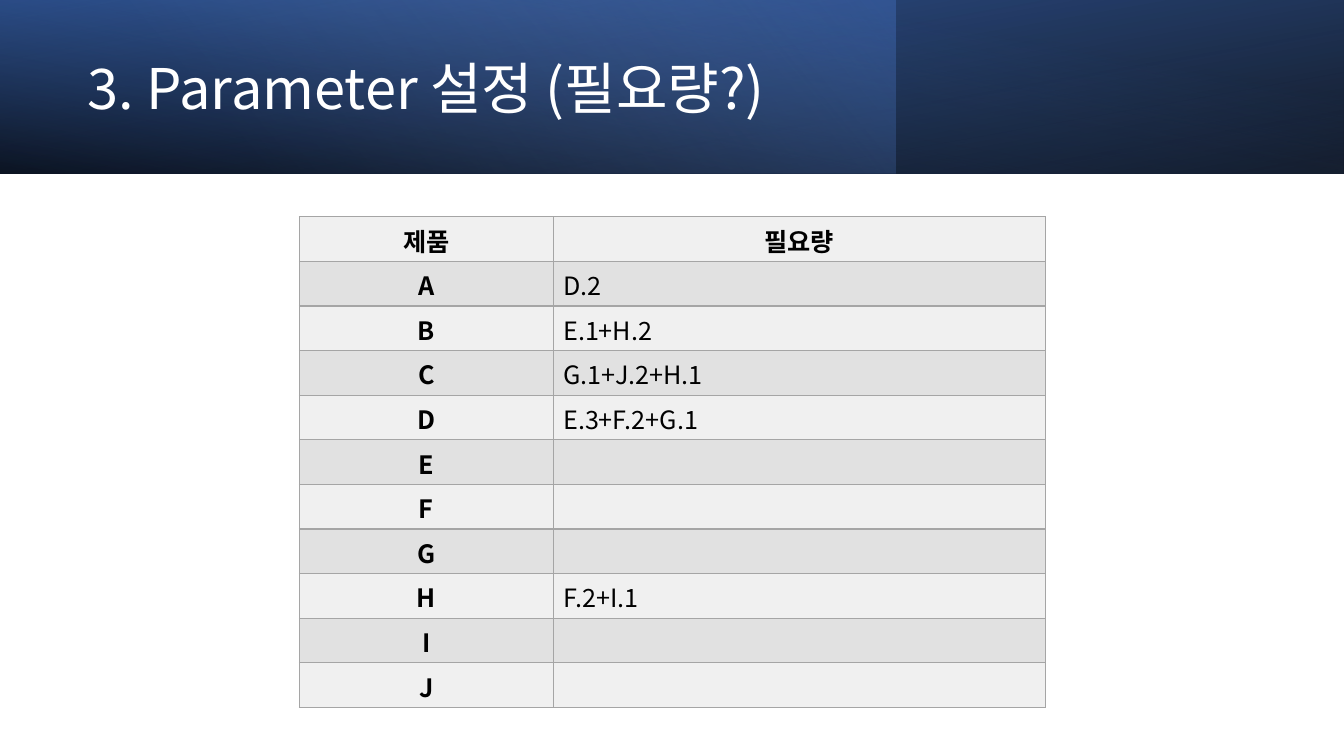
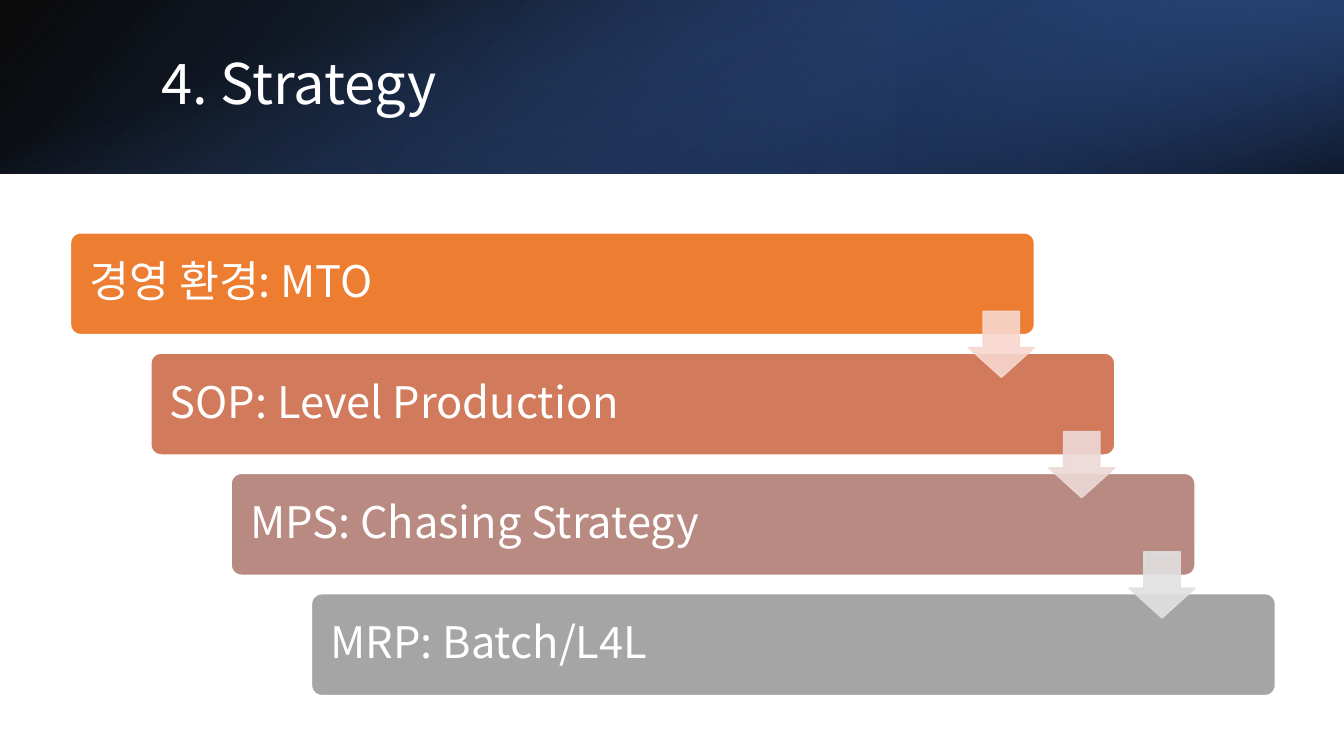
from pptx import Presentation
from pptx.dml.color import RGBColor as RGB
from pptx.enum.shapes import MSO_SHAPE as Shape
from pptx.enum.text import MSO_ANCHOR as Anchor, PP_ALIGN as Align
from pptx.oxml import parse_xml as to_xml
from pptx.oxml.ns import nsdecls, qn
from pptx.util import Inches, Pt
from lxml.etree import SubElement

W, H = 13.33, 7.5
BAND = (0, 0, W, 0.23 * H)
FONT = "Noto Sans CJK KR"
WHITE, BLACK, GREY = "FFFFFF", "000000", "A5A5A5"
NAVY, BLUE, DEEP, PALE = "2F5597", "4472C4", "203864", "8FAADC"
ROWS = ("F0F0F0", "E1E1E1")

deck = Presentation()
deck.slide_width, deck.slide_height = Inches(W), Inches(H)


def color(code):
    return RGB.from_string(code)


def inch(box):
    return [Inches(n) for n in box]


def part(box, x, y, w, h):
    """Box given as shares of another box."""
    left, top, wide, high = box
    return left + x * wide, top + y * high, w * wide, h * high


def write(para, text, size, code, bold=False):
    run = para.add_run()
    run.text = text
    font = run.font
    font.size, font.bold, font.name = Pt(size), bold, FONT
    font.color.rgb = color(code)
    SubElement(run._r.get_or_add_rPr(), qn("a:ea")).set("typeface", FONT)


def draw(slide, kind, box, fill=None, line=None):
    shape = slide.shapes.add_shape(kind, *inch(box))
    shape.shadow.inherit = False
    if fill:
        shape.fill.solid()
        shape.fill.fore_color.rgb = color(fill)
    if line:
        shape.line.color.rgb = color(line)
        shape.line.width = Pt(1)
    else:
        shape.line.fill.background()
    return shape


# Header band: stacked gradient layers
def layer(slide, box, stops, angle, turn=0, flip=False):
    x, y, w, h = box
    if turn == 90:
        x, y, w, h = x + (w - h) / 2, y + (h - w) / 2, h, w
    shape = draw(slide, Shape.RECTANGLE, (x, y, w, h))
    shape.rotation = turn
    props = shape.element.spPr
    if flip:
        props.xfrm.set("flipH", "1")
    marks = "".join(
        f'<a:gs pos="{pos * 1000}"><a:srgbClr val="{code}">'
        f'<a:alpha val="{alpha * 1000}"/></a:srgbClr></a:gs>'
        for pos, code, alpha in stops)
    props.insert(2, to_xml(
        f'<a:gradFill {nsdecls("a")} rotWithShape="1"><a:gsLst>{marks}</a:gsLst>'
        f'<a:lin ang="{angle * 60000}" scaled="0"/></a:gradFill>'))


def header(slide, layers, text, box):
    for share, *look in layers:
        layer(slide, part(BAND, *share), *look)
    frame = slide.shapes.add_textbox(*inch(box)).text_frame
    frame.word_wrap = True
    frame.vertical_anchor = Anchor.MIDDLE
    para = frame.paragraphs[0]
    para.line_spacing = 0.9
    write(para, text, 40, WHITE)


# Table with striped rows and thin borders
def edge(cell):
    props = cell._tc.get_or_add_tcPr()
    for spot, side in enumerate("LRTB"):
        props.insert(spot, to_xml(
            f'<a:ln{side} {nsdecls("a")} w="12700"><a:solidFill>'
            f'<a:srgbClr val="{GREY}"/></a:solidFill></a:ln{side}>'))


def table(slide, box, data, shares):
    grid = slide.shapes.add_table(len(data), len(shares), *inch(box)).table
    grid.first_row = grid.horz_banding = False
    for col, share in zip(grid.columns, shares):
        col.width = Inches(box[2] * share)
    for r, row in enumerate(data):
        for c, text in enumerate(row):
            cell = grid.cell(r, c)
            cell.fill.solid()
            cell.fill.fore_color.rgb = color(ROWS[r % 2])
            edge(cell)
            head = r == 0 or c == 0
            para = cell.text_frame.paragraphs[0]
            para.alignment = Align.CENTER if head else Align.LEFT
            if text:
                write(para, text, 18, BLACK, head)


# Staircase of steps joined by arrows
def stairs(slide, box, steps, tints):
    left, top, wide, high = box
    bar, tall = 0.8 * wide, 0.22 * high
    gaps = len(steps) - 1
    dx, dy = (wide - bar) / gaps, (high - tall) / gaps
    for i, (text, fill) in enumerate(steps):
        spot = left + i * dx, top + i * dy, bar, tall
        shape = draw(slide, Shape.ROUNDED_RECTANGLE, spot, fill, WHITE)
        shape.adjustments[0] = 0.1
        frame = shape.text_frame
        frame.word_wrap = True
        frame.vertical_anchor = Anchor.MIDDLE
        frame.margin_left = frame.margin_right = Inches(0.16)
        para = frame.paragraphs[0]
        para.alignment = Align.LEFT
        para.line_spacing = 0.9
        write(para, text, 31, WHITE)
    size = 0.65 * tall
    for i, tint in enumerate(tints):
        spot = (left + i * dx + bar - size, top + i * dy + 0.77 * tall, size, size)
        arrow = draw(slide, Shape.DOWN_ARROW, spot, tint, tint)
        arrow.adjustments[0], arrow.adjustments[1] = 0.55, 0.45
        for tone in arrow.element.spPr.iter(qn("a:srgbClr")):
            SubElement(tone, qn("a:alpha")).set("val", "90000")


def page():
    return deck.slides.add_slide(deck.slide_layouts[6])


FULL = (0, 0, 1, 1)
BASE = [(0, BLACK, 96), (100, NAVY, 100)]

# Slide 1: parameters
needs = {"A": "D.2", "B": "E.1+H.2", "C": "G.1+J.2+H.1",
         "D": "E.3+F.2+G.1", "H": "F.2+I.1"}
slide = page()
header(slide, [
    (FULL, BASE, 100, 180, True),
    ((0, 0, 2 / 3, 1), [(0, BLUE, 41), (74, PALE, 0)], 140),
    (FULL, [(0, BLACK, 63), (78, BLUE, 15)], 260, 0, True),
], "3. Parameter 설정 (필요량?)", (0.77, 0.27, 7.72, 1.27))
table(slide, (2.97, 2.15, 7.4, 4.87),
      [("제품", "필요량")] + [(name, needs.get(name, "")) for name in "ABCDEFGHIJ"],
      (0.34, 0.66))

# Slide 2: strategy
slide = page()
header(slide, [
    (FULL, BASE, 140, 0, True),
    ((2 / 3, 0, 1 / 3, 1), [(19, DEEP, 68), (100, BLUE, 79)], 320, 180, True),
    (FULL, [(23, BLUE, 0), (99, BLACK, 74)], 340, 90),
], "4. Strategy", (1.5, 0.38, 10.98, 0.96))
stairs(slide, (0.7, 2.31, 11.95, 4.59), [
    ("경영 환경: MTO", "ED7D31"),
    ("SOP: Level Production", "D17B5C"),
    ("MPS: Chasing Strategy", "B98A82"),
    ("MRP: Batch/L4L", GREY),
], ("F8D7CE", "EDD9D7", "E1E1E1"))

deck.save("out.pptx")
